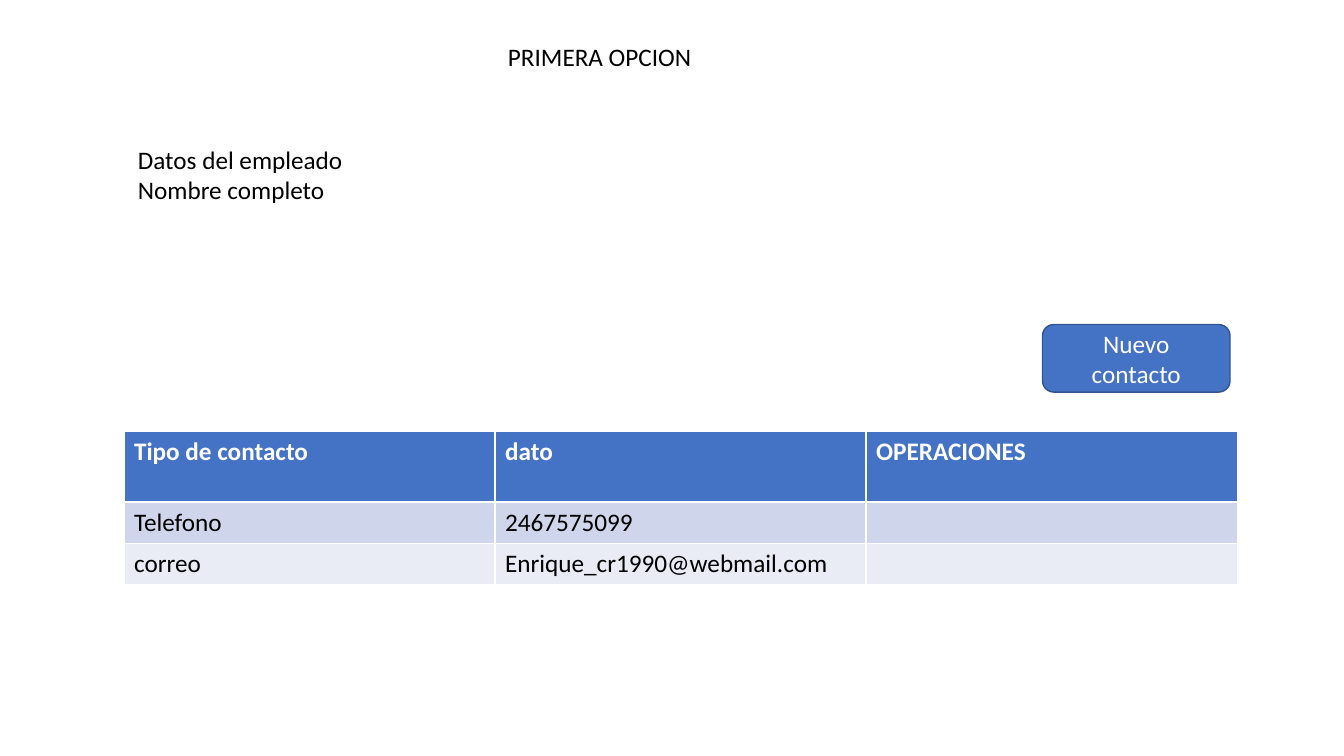
from pptx import Presentation
from pptx.dml.color import RGBColor
from pptx.enum.shapes import MSO_SHAPE
from pptx.enum.text import MSO_ANCHOR, MSO_AUTO_SIZE, PP_ALIGN
from pptx.util import Inches, Pt

ROUNDED = MSO_SHAPE.ROUNDED_RECTANGLE
MIDDLE = MSO_ANCHOR.MIDDLE
GROW = MSO_AUTO_SIZE.SHAPE_TO_FIT_TEXT
LEFT, CENTER = PP_ALIGN.LEFT, PP_ALIGN.CENTER

BLUE, EDGE, WHITE, BLACK = "4472C4", "325491", "FFFFFF", "000000"
BANDS = ["CFD5EA", "E9EBF5"]

LABELS = [
    (["PRIMERA OPCION"], (4.94, 0.36, 2.03, 0.4)),
    (["Datos del empleado", "Nombre completo"], (1.27, 1.38, 2.26, 0.71)),
]
BUTTON = ("Nuevo contacto", (10.34, 3.22, 1.86, 0.67))
CONTACTS = [
    ["Tipo de contacto", "dato", "OPERACIONES"],
    ["Telefono", "2467575099", ""],
    ["correo", "Enrique_cr1990@webmail.com", ""],
]
TABLE_LEFT, TABLE_TOP = 1.23, 4.28
COL_WIDTH = 3.68
ROW_HEIGHTS = [0.7, 0.41, 0.41]


def color(value):
    return RGBColor.from_string(value)


def box(lengths):
    return [Inches(n) for n in lengths]


def write(tf, lines, ink=BLACK, bold=False, align=LEFT):
    for i, line in enumerate(lines):
        p = tf.paragraphs[0] if i == 0 else tf.add_paragraph()
        p.alignment = align
        r = p.add_run()
        r.text = line
        r.font.name = "Calibri"
        r.font.size = Pt(18)
        r.font.bold = bold
        r.font.color.rgb = color(ink)


prs = Presentation()
prs.slide_width, prs.slide_height = Inches(13.33), Inches(7.5)
s = prs.slides.add_slide(prs.slide_layouts[6])

frame = s.shapes.add_table(
    len(CONTACTS), len(CONTACTS[0]),
    *box((TABLE_LEFT, TABLE_TOP, COL_WIDTH * len(CONTACTS[0]), sum(ROW_HEIGHTS))))
table = frame.table
for col in table.columns:
    col.width = Inches(COL_WIDTH)
for i, (row, height) in enumerate(zip(CONTACTS, ROW_HEIGHTS)):
    table.rows[i].height = Inches(height)
    header = i == 0
    for j, text in enumerate(row):
        cell = table.cell(i, j)
        cell.fill.solid()
        cell.fill.fore_color.rgb = color(BLUE if header else BANDS[(i - 1) % 2])
        if text:
            write(cell.text_frame, [text], ink=WHITE if header else BLACK, bold=header)

text, place = BUTTON
sp = s.shapes.add_shape(ROUNDED, *box(place))
sp.shadow.inherit = False
sp.fill.solid()
sp.fill.fore_color.rgb = color(BLUE)
sp.line.color.rgb = color(EDGE)
sp.line.width = Pt(1)
sp.text_frame.word_wrap = True
sp.text_frame.vertical_anchor = MIDDLE
write(sp.text_frame, [text], ink=WHITE, align=CENTER)

for lines, place in LABELS:
    tf = s.shapes.add_textbox(*box(place)).text_frame
    tf.word_wrap = False
    tf.auto_size = GROW
    write(tf, lines)

prs.save("out.pptx")
